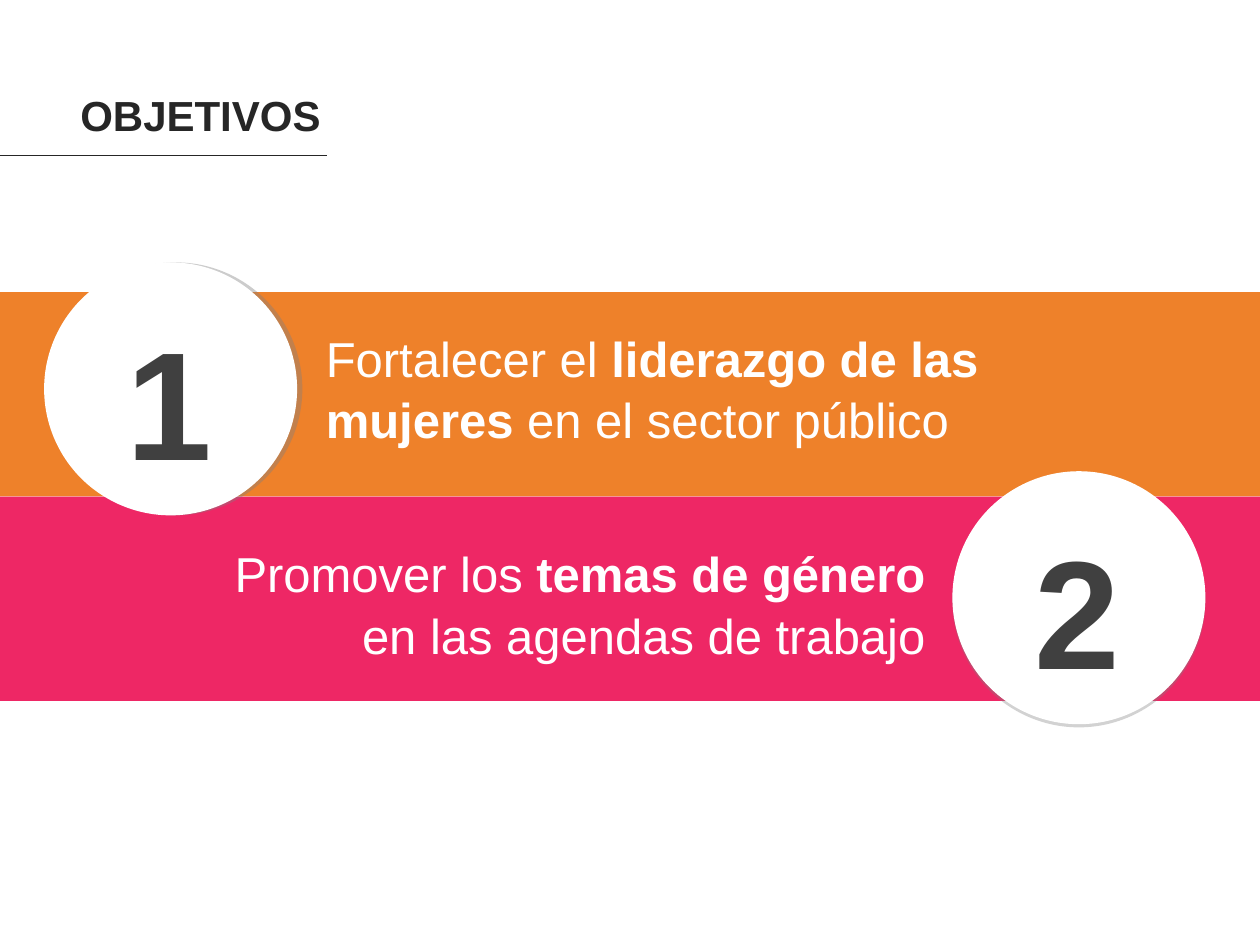
from lxml.etree import SubElement
from pptx import Presentation
from pptx.dml.color import RGBColor
from pptx.enum.shapes import MSO_CONNECTOR, MSO_SHAPE
from pptx.enum.text import PP_ALIGN
from pptx.oxml.ns import qn
from pptx.util import Cm, Pt

ORANGE = RGBColor(0xEE, 0x81, 0x2A)
PINK = RGBColor(0xEE, 0x27, 0x65)
WHITE = RGBColor(0xFF, 0xFF, 0xFF)
INK = RGBColor(0x26, 0x26, 0x26)
NUMBER_GRAY = RGBColor(0x40, 0x40, 0x40)
SHADOW_GRAY = RGBColor(0x80, 0x80, 0x80)

SLIDE_WIDTH = 25.4
CIRCLE_SIZE = 5.1


def add_text(slide, box, runs, size, color, alignment=PP_ALIGN.LEFT):
    """Place one paragraph of (text, bold) runs in a box given in centimetres."""
    shape = slide.shapes.add_textbox(*map(Cm, box))
    shape.text_frame.word_wrap = True
    paragraph = shape.text_frame.paragraphs[0]
    paragraph.alignment = alignment
    paragraph.line_spacing = 1.05
    for text, bold in runs:
        run = paragraph.add_run()
        run.text = text
        run.font.name = "Arial"
        run.font.size = Pt(size)
        run.font.bold = bold
        run.font.color.rgb = color


def add_filled_shape(slide, kind, box, color):
    """Add a borderless, shadowless shape in one solid colour."""
    shape = slide.shapes.add_shape(kind, *map(Cm, box))
    shape.shadow.inherit = False
    shape.fill.solid()
    shape.fill.fore_color.rgb = color
    shape.line.fill.background()
    return shape


def add_shadow(shape, distance, degrees, opacity):
    """Give a shape a hard-edged offset shadow."""
    effects = shape._element.spPr.find(qn("a:effectLst"))
    shadow = SubElement(effects, qn("a:outerShdw"), blurRad="0",
                        dist=str(Pt(distance)), dir=str(degrees * 60000),
                        algn="ctr", rotWithShape="0")
    color = SubElement(shadow, qn("a:srgbClr"), val=str(SHADOW_GRAY))
    SubElement(color, qn("a:alpha"), val=str(opacity * 1000))


def add_heading(slide, left, top):
    """Place the heading and the rule that runs in from the slide edge."""
    add_text(slide, (left, top, 5.82, 1.27), [("OBJETIVOS", True)], 24, INK)
    rule_top = Cm(top + 1.5)
    rule = slide.shapes.add_connector(
        MSO_CONNECTOR.STRAIGHT, Cm(0), rule_top, Cm(6.6), rule_top)
    rule.line.color.rgb = INK
    rule.line.width = Pt(0.25)
    SubElement(rule._element.spPr, qn("a:effectLst"))


def add_badge(slide, left, top, number, shadow):
    """Place a white circle with its number centred inside."""
    circle = add_filled_shape(slide, MSO_SHAPE.OVAL,
                              (left, top, CIRCLE_SIZE, CIRCLE_SIZE), WHITE)
    add_shadow(circle, *shadow)
    width = 2.77
    add_text(slide, (left + (CIRCLE_SIZE - width) / 2 - 0.03, top + 0.58, width, 4),
             [(number, True)], 88, NUMBER_GRAY, PP_ALIGN.CENTER)


def add_objectives(slide, top, band_height):
    """Stack the two coloured bands, then their badges and statements."""
    second_top = top + band_height
    for band_top, color in ((top, ORANGE), (second_top, PINK)):
        add_filled_shape(slide, MSO_SHAPE.RECTANGLE,
                         (0, band_top, SLIDE_WIDTH, band_height), color)
    add_badge(slide, 0.89, top - 0.6, "1", (3, 0, 40))
    add_badge(slide, 19.2, second_top - 0.51, "2", (1.8, 90, 35))
    add_text(slide, (6.32, top + 0.54, 15.54, 2.92),
             [("Fortalecer el ", False), ("liderazgo de las mujeres ", True),
              ("en el sector público", False)], 28, WHITE)
    add_text(slide, (3.89, second_top + 0.76, 15.01, 3.18),
             [("Promover los ", False), ("temas de género ", True),
              ("en las agendas de trabajo", False)], 28, WHITE, PP_ALIGN.RIGHT)


def main():
    """Build and save the slide."""
    presentation = Presentation()
    presentation.slide_width = Cm(SLIDE_WIDTH)
    presentation.slide_height = Cm(19.05)
    slide = presentation.slides.add_slide(presentation.slide_layouts[6])
    add_heading(slide, 1.37, 1.63)
    add_objectives(slide, 5.89, 4.12)
    presentation.save("out.pptx")


if __name__ == "__main__":
    main()
